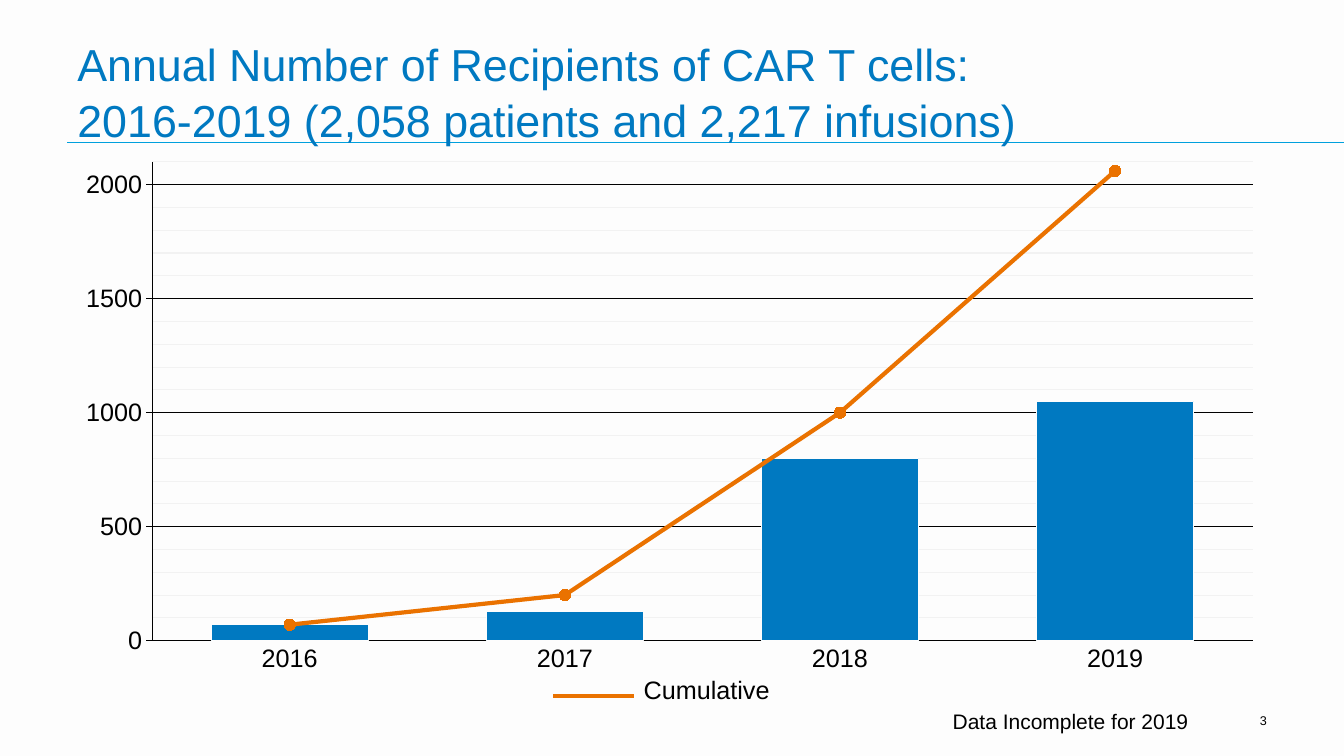
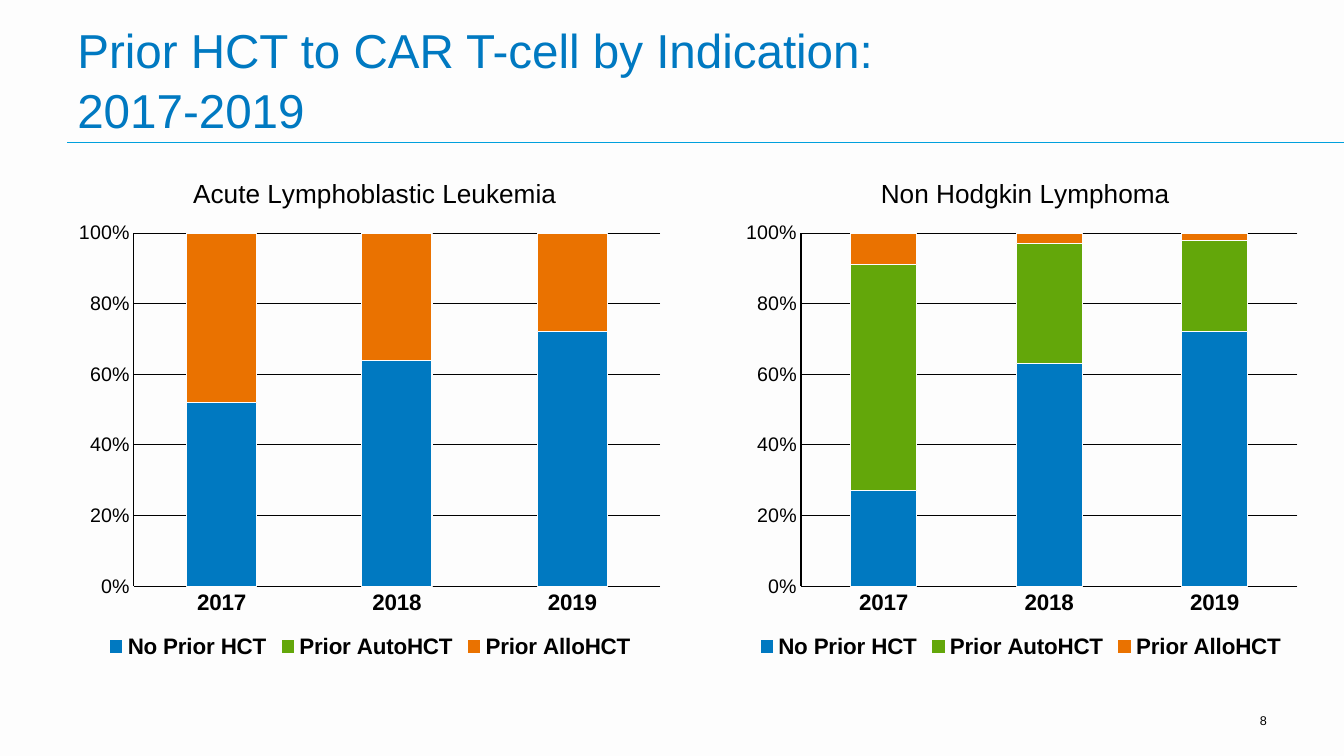
from collections import namedtuple

from lxml import etree
from pptx import Presentation
from pptx.chart.data import CategoryChartData
from pptx.dml.color import RGBColor
from pptx.enum.chart import XL_CHART_TYPE, XL_LEGEND_POSITION, XL_MARKER_STYLE, XL_TICK_MARK
from pptx.enum.shapes import MSO_CONNECTOR
from pptx.enum.text import MSO_ANCHOR, PP_ALIGN
from pptx.oxml import parse_xml
from pptx.oxml.ns import nsdecls, qn
from pptx.util import Cm, Pt

CLUSTERED = XL_CHART_TYPE.COLUMN_CLUSTERED
STACKED_100 = XL_CHART_TYPE.COLUMN_STACKED_100
LEGEND_BOTTOM = XL_LEGEND_POSITION.BOTTOM
CIRCLE = XL_MARKER_STYLE.CIRCLE
TICK_NONE, TICK_OUT = XL_TICK_MARK.NONE, XL_TICK_MARK.OUTSIDE
STRAIGHT = MSO_CONNECTOR.STRAIGHT
TOP, MIDDLE, BOTTOM = MSO_ANCHOR.TOP, MSO_ANCHOR.MIDDLE, MSO_ANCHOR.BOTTOM
LEFT, RIGHT = PP_ALIGN.LEFT, PP_ALIGN.RIGHT

FONT = "Arial"
BLACK, PAPER, FAINT = "000000", "FDFDFD", "F2F2F2"
BLUE, GREEN, ORANGE, RULE = "0079C1", "63A70A", "EA7200", "00A0DD"
PAGE_WIDTH, PAGE_HEIGHT = 33.87, 19.05
MARGIN, RULE_TOP = 1.7, 3.6

Box = namedtuple("Box", "left top width height")
PAGE_NUMBER = Box(30.48, 17.65, 1.7, 1.02)
FOOTNOTE = Box(11.58, 17.65, 18.62, 1.02)


def color(hex_text):
    return RGBColor.from_string(hex_text)


def place(box):
    return [Cm(length) for length in box]


def style_font(font, size, hex_text=BLACK, bold=False):
    font.name, font.size, font.bold = FONT, Pt(size), bold
    font.color.rgb = color(hex_text)


def style_line(line, hex_text, width=0.75):
    line.color.rgb = color(hex_text)
    line.width = Pt(width)


def add_text(page, box, text, size, hex_text=BLACK, align=LEFT, anchor=MIDDLE, spacing=1.0):
    frame = page.shapes.add_textbox(*place(box)).text_frame
    frame.word_wrap = True
    frame.vertical_anchor = anchor
    para = frame.paragraphs[0]
    para.text = text
    para.alignment = align
    para.line_spacing = spacing
    style_font(para.font, size, hex_text)


def add_line(page, left, top, width, hex_text, weight):
    line = page.shapes.add_connector(STRAIGHT, Cm(left), Cm(top), Cm(left + width), Cm(top))
    style_line(line.line, hex_text, weight)
    etree.SubElement(line._element.spPr, qn("a:effectLst"))


def add_page(deck, title_box, title, title_size, number):
    page = deck.slides.add_slide(deck.slide_layouts[6])
    add_line(page, MARGIN, RULE_TOP, PAGE_WIDTH - MARGIN, RULE, 0.75)
    add_text(page, title_box, title, title_size, BLUE, anchor=BOTTOM, spacing=1.05)
    add_text(page, PAGE_NUMBER, number, 9, align=RIGHT)
    return page


def pin_layout(parent, index, **fractions):
    for old in parent.findall(qn("c:layout")):
        parent.remove(old)
    layout = parse_xml(f"<c:layout {nsdecls('c')}><c:manualLayout/></c:layout>")
    settings = {"xMode": "edge", "yMode": "edge", **fractions}
    if "w" in fractions:
        settings = {"layoutTarget": "inner", **settings}
    for name, value in settings.items():
        etree.SubElement(layout[0], qn(f"c:{name}")).set("val", str(value))
    parent.insert(index, layout)


def style_axis(axis, size, bold=False, tick=TICK_NONE):
    style_font(axis.tick_labels.font, size, bold=bold)
    style_line(axis.format.line, BLACK)
    axis.major_tick_mark = tick
    axis.minor_tick_mark = TICK_NONE


def add_minor_gridlines(chart, hex_text):
    chart.value_axis.has_minor_gridlines = True
    gridlines = chart._chartSpace.xpath(".//c:valAx/c:minorGridlines")[0]
    gridlines.append(parse_xml(
        f"<c:spPr {nsdecls('c', 'a')}><a:ln w='{Pt(0.75)}'><a:solidFill>"
        f"<a:srgbClr val='{hex_text}'/></a:solidFill></a:ln></c:spPr>"
    ))


def add_columns(page, box, kind, categories, series, colors, gap, plot_area):
    data = CategoryChartData()
    data.categories = categories
    for name, values in series:
        data.add_series(name, values)
    chart = page.shapes.add_chart(kind, *place(box), data).chart
    chart.has_title = chart.has_legend = False
    style_font(chart.font, 10)
    plot = chart.plots[0]
    plot.gap_width = gap
    plot.vary_by_categories = False
    for item, hex_text in zip(plot.series, colors):
        item.format.fill.solid()
        item.format.fill.fore_color.rgb = color(hex_text)
        style_line(item.format.line, PAPER)
    chart.value_axis.has_major_gridlines = True
    style_line(chart.value_axis.major_gridlines.format.line, BLACK)
    x, y, w, h = plot_area
    pin_layout(chart._chartSpace.xpath(".//c:plotArea")[0], 0, x=x, y=y, w=w, h=h)
    return chart


def move_last_series_to_line(chart):
    bars = chart._chartSpace.xpath(".//c:barChart")[0]
    moved = bars.findall(qn("c:ser"))[-1]
    for name in ("c:invertIfNegative", "c:spPr"):
        for old in moved.findall(qn(name)):
            moved.remove(old)
    lines = parse_xml(
        f"<c:lineChart {nsdecls('c')}><c:grouping val='standard'/>"
        "<c:varyColors val='0'/><c:marker val='1'/></c:lineChart>"
    )
    lines.insert(2, moved)
    for axis_id in bars.findall(qn("c:axId")):
        etree.SubElement(lines, qn("c:axId")).set("val", axis_id.get("val"))
    bars.addnext(lines)
    series = chart.plots[1].series[0]
    series.smooth = False
    style_line(series.format.line, ORANGE, 3)
    marker = series.marker
    marker.style, marker.size = CIRCLE, 8
    marker.format.fill.solid()
    marker.format.fill.fore_color.rgb = color(ORANGE)
    style_line(marker.format.line, ORANGE)


def add_recipients_chart(page, box):
    chart = add_columns(
        page, box, CLUSTERED, ["2016", "2017", "2018", "2019"],
        [("Series 1", (70, 130, 800, 1050)), ("Series 2", (70, 200, 1000, 2060))],
        [BLUE, ORANGE], 75, (0.07, 0.02, 0.91, 0.9),
    )
    move_last_series_to_line(chart)
    style_axis(chart.category_axis, 18)
    axis = chart.value_axis
    style_axis(axis, 18, tick=TICK_OUT)
    axis.minimum_scale, axis.maximum_scale = 0, 2100
    axis.major_unit, axis.minor_unit = 500, 100
    add_minor_gridlines(chart, FAINT)


def add_line_key(page, box, text):
    sample = 2.03
    add_line(page, box.left, box.top + 0.66, sample, ORANGE, 3)
    label = Box(box.left + sample, box.top, box.width - sample, box.height)
    add_text(page, label, text, 18, anchor=TOP)


def add_indication_chart(page, box, title, title_left, shares, plot_area):
    names = ("No Prior HCT", "Prior AutoHCT", "Prior AlloHCT")
    chart = add_columns(
        page, box, STACKED_100, ["2017", "2018", "2019"], list(zip(names, shares)),
        [BLUE, GREEN, ORANGE], 150, plot_area,
    )
    chart.plots[0].overlap = 100
    style_axis(chart.category_axis, 16, bold=True)
    axis = chart.value_axis
    style_axis(axis, 14)
    axis.major_unit = 0.2
    axis.tick_labels.number_format = "0%"
    axis.tick_labels.number_format_is_linked = False
    chart.has_title = True
    para = chart.chart_title.text_frame.paragraphs[0]
    para.text = title
    style_font(para.font, 18.7)
    pin_layout(chart._chartSpace.xpath("./c:chart/c:title")[0], 1, x=title_left, y=0.04)
    chart.has_legend = True
    chart.legend.position = LEGEND_BOTTOM
    chart.legend.include_in_layout = False
    style_font(chart.legend.font, 16, bold=True)


def build_recipients_page(deck):
    page = add_page(
        deck, Box(MARGIN, 0.64, 25.1, 3.18),
        "Annual Number of Recipients of CAR T cells:\v"
        "2016-2019 (2,058 patients and 2,217 infusions)", 32, "3",
    )
    add_recipients_chart(page, Box(MARGIN, 3.81, 30.48, 13.41))
    add_line_key(page, Box(13.94, 16.87, 5.92, 1.02), "Cumulative")
    add_text(page, FOOTNOTE, "Data Incomplete for 2019", 15, align=RIGHT)


def build_indication_page(deck):
    page = add_page(
        deck, Box(MARGIN, 0.43, 24.92, 3.18),
        "Prior HCT to CAR T-cell by Indication:\v2017-2019", 34, "8",
    )
    top, height = 3.81, 12.9
    add_indication_chart(
        page, Box(MARGIN, top, 15.24, height), "Acute Lymphoblastic Leukemia", 0.2,
        [(52, 64, 72), (0, 0, 0), (48, 36, 28)], (0.11, 0.16, 0.87, 0.69),
    )
    add_indication_chart(
        page, Box(18.44, top, 14.55, height), "Non Hodgkin Lymphoma", 0.25,
        [(27, 63, 72), (64, 34, 26), (9, 3, 2)], (0.12, 0.16, 0.86, 0.69),
    )


def main():
    deck = Presentation()
    deck.slide_width, deck.slide_height = Cm(PAGE_WIDTH), Cm(PAGE_HEIGHT)
    backdrop = deck.slide_master.background.fill
    backdrop.solid()
    backdrop.fore_color.rgb = color(PAPER)
    build_recipients_page(deck)
    build_indication_page(deck)
    deck.save("out.pptx")


if __name__ == "__main__":
    main()
